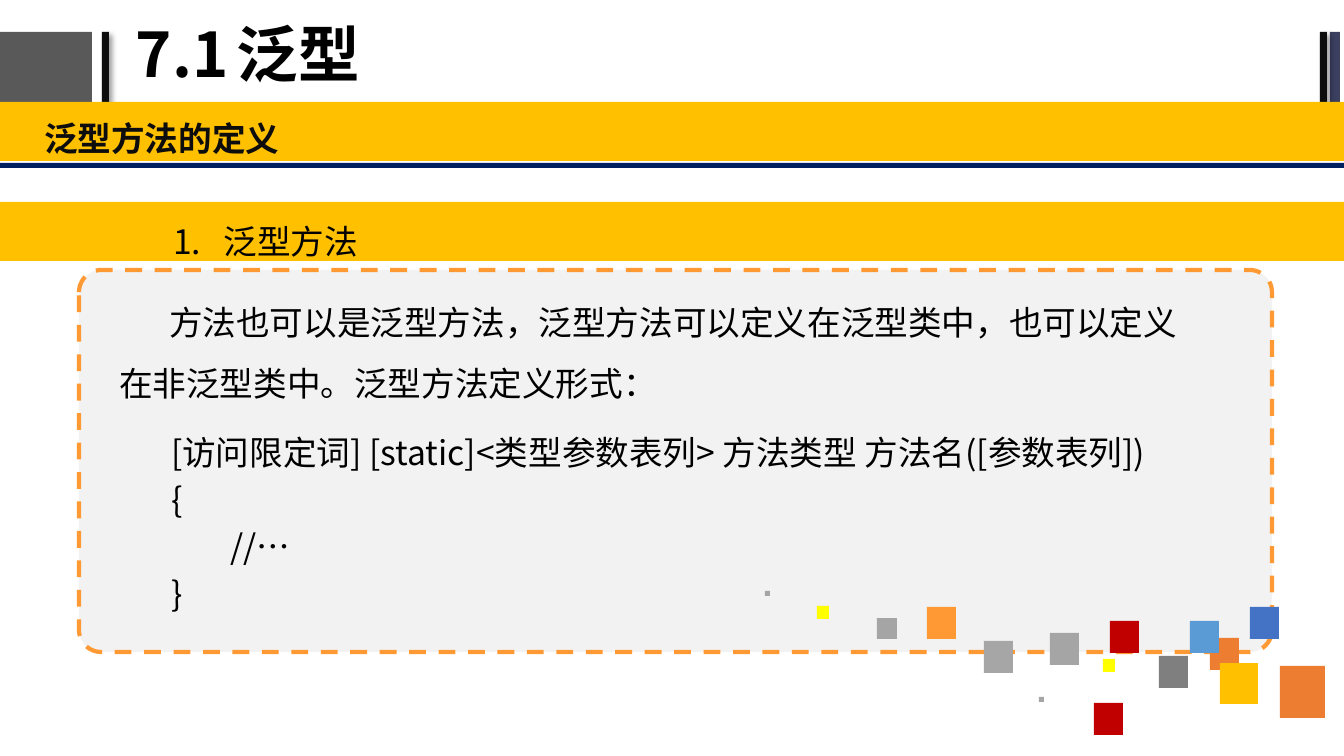
"""Builds the slide that introduces generic methods."""
from dataclasses import dataclass

from lxml import etree
from pptx import Presentation
from pptx.dml.color import RGBColor
from pptx.enum.dml import MSO_LINE
from pptx.enum.shapes import MSO_SHAPE
from pptx.enum.text import MSO_ANCHOR, PP_ALIGN
from pptx.oxml.ns import qn
from pptx.util import Pt

RECT, ROUNDED = MSO_SHAPE.RECTANGLE, MSO_SHAPE.ROUNDED_RECTANGLE
TOP, MIDDLE = MSO_ANCHOR.TOP, MSO_ANCHOR.MIDDLE
LEFT, DASH = PP_ALIGN.LEFT, MSO_LINE.DASH
EMU_PER_PIXEL = 914400 / 100.8


def px(pixels):
    """Turn pixels into EMU."""
    return round(pixels * EMU_PER_PIXEL)


@dataclass(frozen=True)
class Theme:
    """Colours, font and type sizes of the slide."""
    font: str = "Noto Sans CJK SC"
    title_size: int = 44
    body_size: int = 24
    black: str = "000000"
    ink: str = "0D0D0D"
    charcoal: str = "595959"
    slate: str = "3B3F60"
    navy: str = "002060"
    gold: str = "FFC000"
    panel: str = "F2F2F2"
    amber: str = "FF9933"
    orange: str = "ED7D31"
    sky: str = "5B9BD5"
    blue: str = "4472C4"
    yellow: str = "FFFF00"
    red: str = "C00000"
    light_gray: str = "A5A5A5"
    silver: str = "A6A6A6"
    gray: str = "7F7F7F"


class SlideBuilder:
    """Draws styled elements on the current slide."""

    def __init__(self, theme, slide):
        """Keep the theme and the slide."""
        self.theme = theme
        self.slide = slide

    @staticmethod
    def apply(target, formats):
        """Set every format value on the target."""
        for name, value in formats.items():
            setattr(target, name, value)

    def block(self, box, color, kind=RECT):
        """Add a filled shape without outline."""
        shape = self.slide.shapes.add_shape(kind, *map(px, box))
        shape.shadow.inherit = False
        shape.fill.solid()
        shape.fill.fore_color.rgb = RGBColor.from_string(color)
        shape.line.fill.background()
        return shape

    def shadowed_bar(self, box, color):
        """Add a bar with a soft diagonal shadow."""
        effects = self.block(box, color)._element.spPr.find(qn("a:effectLst"))
        shadow = etree.SubElement(
            effects, qn("a:outerShdw"), blurRad=str(Pt(4)), dist=str(Pt(3)),
            dir="2700000", algn="tl", rotWithShape="0")
        tint = etree.SubElement(shadow, qn("a:srgbClr"), val=self.theme.black)
        etree.SubElement(tint, qn("a:alpha"), val="40000")

    def dashed_panel(self, box, color, outline):
        """Add a rounded panel with a dashed outline."""
        panel = self.block(box, color, ROUNDED)
        panel.adjustments[0] = 0.058
        panel.line.color.rgb = RGBColor.from_string(outline)
        self.apply(panel.line, {"width": Pt(3), "dash_style": DASH})

    def mosaic(self, tiles):
        """Add a group of small coloured tiles."""
        self.slide.shapes.add_group_shape(
            [self.block((left, top, *size), color) for left, top, size, color in tiles])

    def text(self, box, lines, size=None, color=None, bold=False, insets=(13, 7),
             anchor=TOP, spacing=1.0, before=4.8, first_indent=0, tab=None):
        """Add a text box from pairs of outline level and wording."""
        frame = self.slide.shapes.add_textbox(*map(px, box)).text_frame
        side, edge = map(px, insets)
        self.apply(frame, {
            "word_wrap": True, "vertical_anchor": anchor,
            "margin_left": side, "margin_right": side,
            "margin_top": edge, "margin_bottom": edge})
        for index, (level, wording) in enumerate(lines):
            paragraph = frame.add_paragraph() if index else frame.paragraphs[0]
            self.apply(paragraph, {
                "level": level, "alignment": LEFT,
                "line_spacing": spacing, "space_before": Pt(before)})
            properties = paragraph._p.get_or_add_pPr()
            properties.set("marL", str(px(59 * level)))
            properties.set("indent", str(px(first_indent)))
            if tab:
                stops = etree.SubElement(properties, qn("a:tabLst"))
                etree.SubElement(stops, qn("a:tab"), pos=str(px(tab)), algn="l")
            run = paragraph.add_run()
            run.text = wording
            self.apply(run.font, {
                "name": self.theme.font, "bold": bold,
                "size": Pt(size or self.theme.body_size)})
            run.font.color.rgb = RGBColor.from_string(color or self.theme.black)
            etree.SubElement(run._r.get_or_add_rPr(), qn("a:ea"), typeface=self.theme.font)


theme = Theme()
deck = Presentation()
deck.slide_width, deck.slide_height = px(1344), px(756)
page = SlideBuilder(theme, deck.slides.add_slide(deck.slide_layouts[6]))

HEADER_TOP, HEADER_HEIGHT = 32, 77
page.block((-2, HEADER_TOP, 94, HEADER_HEIGHT), theme.charcoal)
page.shadowed_bar((102, HEADER_TOP, 7, HEADER_HEIGHT), theme.ink)
page.block((1330, HEADER_TOP, 10, HEADER_HEIGHT), theme.slate)
page.shadowed_bar((1320, HEADER_TOP, 7, HEADER_HEIGHT), theme.ink)
page.text((126, 2, 854, 111), [(0, "7.1\t泛型")], size=theme.title_size, bold=True,
          insets=(10, 5), anchor=MIDDLE, spacing=0.9, before=0, tab=136)

page.block((0, 163, 1344, 5), theme.navy)
page.block((-4, 102, 1351, 59), theme.gold)
page.text((31, 103, 1316, 58), [(0, "泛型方法的定义")], color=theme.ink, bold=True,
          spacing=1.2)

page.dashed_panel((79, 270, 1193, 382), theme.panel, theme.amber)

DOT, SMALL, MEDIUM, REGULAR, LARGE, HUGE = (
    (5, 5), (12, 13), (20, 21), (29, 32), (38, 41), (45, 52))
page.mosaic([
    (1280, 666, HUGE, theme.orange),
    (1210, 638, REGULAR, theme.orange),
    (1220, 663, LARGE, theme.gold),
    (1190, 621, REGULAR, theme.sky),
    (1039, 697, DOT, theme.light_gray),
    (1250, 607, REGULAR, theme.blue),
    (1103, 659, SMALL, theme.yellow),
    (1050, 633, REGULAR, theme.light_gray),
    (1110, 621, REGULAR, theme.red),
    (1159, 656, REGULAR, theme.gray),
    (1094, 703, REGULAR, theme.red),
    (765, 591, DOT, theme.light_gray),
    (817, 606, SMALL, theme.yellow),
    (877, 618, MEDIUM, theme.light_gray),
    (927, 607, REGULAR, theme.amber),
    (984, 641, REGULAR, theme.silver),
])

page.block((0, 202, 1344, 59), theme.gold)
page.text((160, 194, 1027, 58), [(0, "1.\t泛型方法")], spacing=1.5, tab=51)
page.text((99, 425, 1111, 205), [
    (1, "[访问限定词] [static]<类型参数表列> 方法类型 方法名([参数表列])"),
    (1, "{"),
    (2, "//…"),
    (1, "}"),
])
page.text((106, 275, 1104, 128), [
    (0, "方法也可以是泛型方法，泛型方法可以定义在泛型类中，也可以定义在非泛型类中。泛型方法定义形式："),
], spacing=1.5, first_indent=50)

deck.save("out.pptx")
